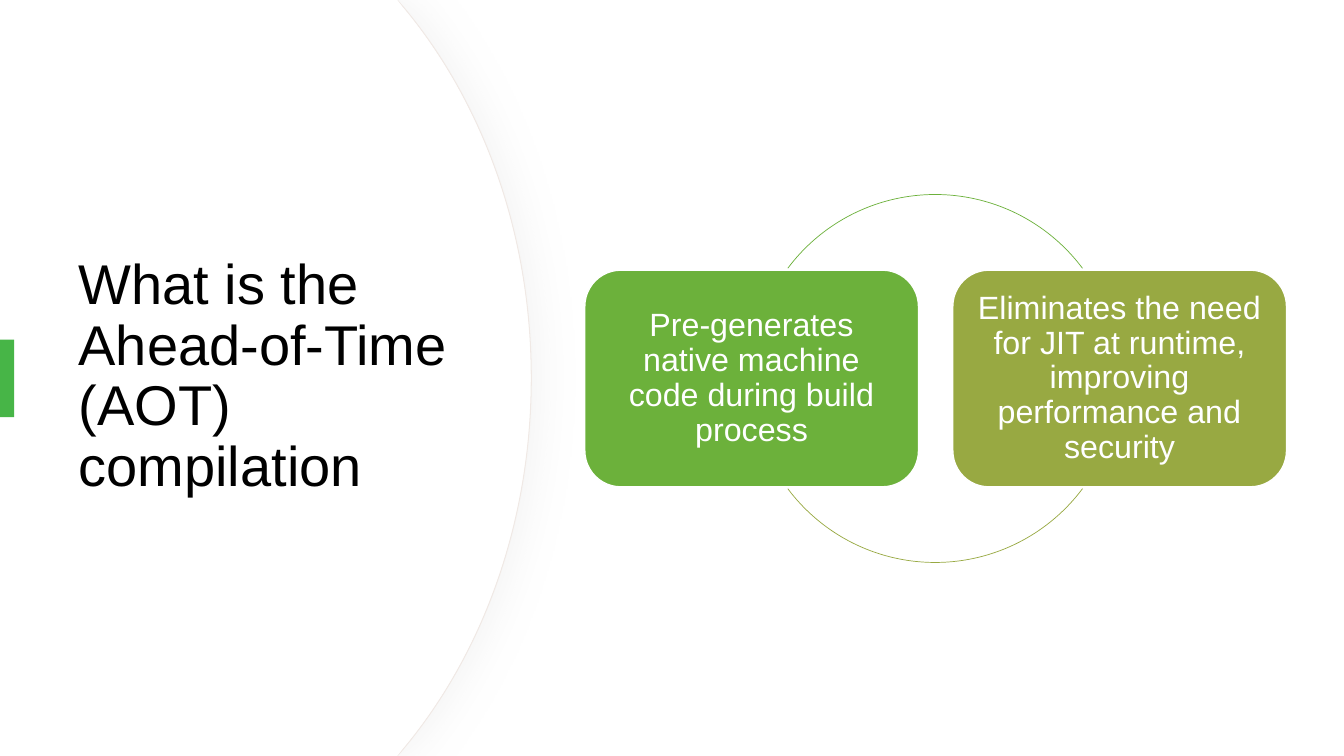
from lxml import etree
from pptx import Presentation
from pptx.dml.color import RGBColor
from pptx.enum.shapes import MSO_SHAPE
from pptx.enum.text import MSO_ANCHOR, MSO_AUTO_SIZE, PP_ALIGN
from pptx.oxml import parse_xml
from pptx.oxml.ns import qn
from pptx.util import Pt

PX = 9144  # 100 px to the inch
RECTANGLE, ROUNDED, ARC = MSO_SHAPE.RECTANGLE, MSO_SHAPE.ROUNDED_RECTANGLE, MSO_SHAPE.ARC
LEFT, CENTER, MIDDLE = PP_ALIGN.LEFT, PP_ALIGN.CENTER, MSO_ANCHOR.MIDDLE
TITLE_ONLY = 5
SHADOW = ('<a:outerShdw xmlns:a="http://schemas.openxmlformats.org/drawingml/2006/main" '
          'blurRad="381000" dist="50800" dir="0" algn="l" rotWithShape="0">'
          '<a:srgbClr val="D9D9D9"><a:alpha val="30000"/></a:srgbClr></a:outerShdw>')


def paint(shape, fill=None, line=None, width=1):
    shape.shadow.inherit = False
    for part, color in ((shape.fill, fill), (shape.line.fill, line)):
        if color:
            part.solid()
            part.fore_color.rgb = RGBColor.from_string(color)
        else:
            part.background()
    if line:
        shape.line.width = Pt(width)


def write(shape, text, size, color, align):
    frame = shape.text_frame
    frame.word_wrap = True
    frame.auto_size = MSO_AUTO_SIZE.NONE
    frame.vertical_anchor = MIDDLE
    para = frame.paragraphs[0]
    para.alignment = align
    para.line_spacing = 0.9
    span = para.add_run()
    span.text = text
    span.font.name = "Arial"
    span.font.size = Pt(size)
    span.font.color.rgb = RGBColor.from_string(color)


deck = Presentation()
deck.slide_width, deck.slide_height = 1333 * PX, 750 * PX
page = deck.slides.add_slide(deck.slide_layouts[TITLE_ONLY])
shapes = page.shapes

# Curved panel: a shadowed outline, then a white face one px to its left
HEIGHT = 750
for shift, line in ((0, "F0E9E5"), (1, None)):
    upper = [(401 - shift, 8), (479 - shift, 102), (527 - shift, 232), (527 - shift, 375)]
    lower = [(x, HEIGHT - y) for x, y in reversed(upper[:-1])]
    outline = [(394, 0), *upper, *lower, (394, HEIGHT), (0, HEIGHT)]
    builder = shapes.build_freeform(0, 0, scale=PX)
    builder.add_line_segments(outline, close=True)
    panel = builder.convert_to_shape()
    paint(panel, "FFFFFF", line, 0.75)

    # The points after the second corner become two Bézier curves
    corners = list(panel._element.spPr.iter(qn("a:lnTo")))
    for first in (2, 5):
        curve = etree.Element(qn("a:cubicBezTo"))
        corners[first].addprevious(curve)
        for corner in corners[first:first + 3]:
            curve.append(corner[0])
            corner.getparent().remove(corner)
    if line:
        effects = panel._element.spPr.find(qn("a:effectLst"))
        effects.append(parse_xml(SHADOW))

# Title and its green marker
title = shapes.title
title.left, title.top, title.width, title.height = 68 * PX, 127 * PX, 394 * PX, 495 * PX
write(title, "What is the Ahead-of-Time (AOT) compilation", 40, "000000", LEFT)
shapes._spTree.append(title._element)  # in front of the panel
marker = shapes.add_shape(RECTANGLE, 0, 337 * PX, 14 * PX, 77 * PX)
paint(marker, "47B547")

# Cycle of two steps, each with the arc that leads to the other
steps = (
    ("Pre-generates native machine code during build process", "6CB13B", 216.8),
    ("Eliminates the need for JIT at runtime, improving performance and security",
     "98A942", 36.8),
)
SWEEP = 106.4
for index, (text, color, start) in enumerate(steps):
    box = shapes.add_shape(ROUNDED, (580 + 365 * index) * PX, 268 * PX, 331 * PX, 215 * PX)
    paint(box, color, "FFFFFF")
    frame = box.text_frame
    frame.margin_left = frame.margin_right = 10 * PX
    frame.margin_top = frame.margin_bottom = 10 * PX
    write(box, text, 23, "FFFFFF", CENTER)

    arc = shapes.add_shape(ARC, 745 * PX, 193 * PX, 365 * PX, 365 * PX)
    paint(arc, None, color, 0.5)
    for side, angle in enumerate((start, start + SWEEP)):
        arc.adjustments[side] = angle * 0.6  # 60000 units a degree, over 100000

deck.save("out.pptx")
